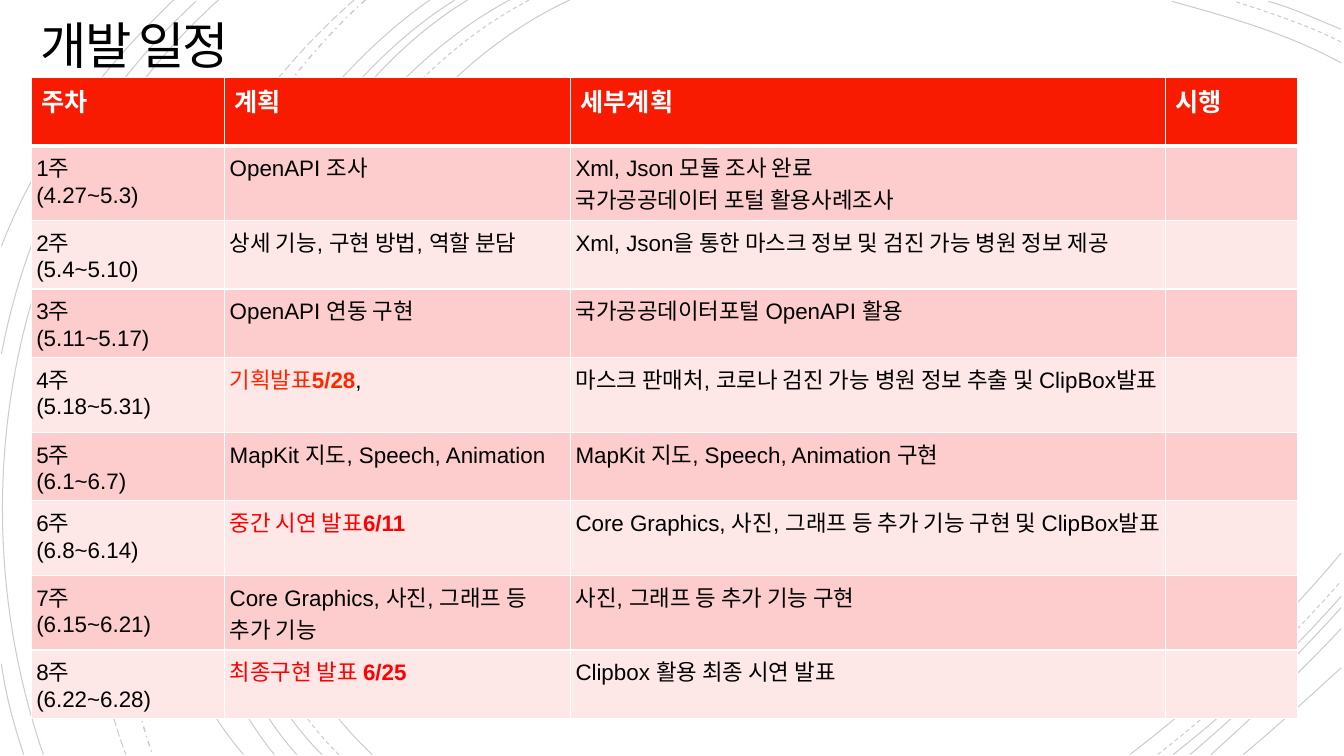
from lxml import etree
from pptx import Presentation
from pptx.dml.color import RGBColor
from pptx.enum import dml, text
from pptx.oxml import ns
from pptx.util import Pt

TITLE = "개발 일정"
HEADINGS = ["주차", "계획", "세부계획", "시행"]
# Week dates, plan, details; a plan is plain text or (wording, date, tail, colour)
WEEKS = [
    ("4.27~5.3", "OpenAPI 조사",
     ["Xml, Json 모듈 조사 완료", "국가공공데이터 포털 활용사례조사"]),
    ("5.4~5.10", "상세 기능, 구현 방법, 역할 분담",
     ["Xml, Json을 통한 마스크 정보 및 검진 가능 병원 정보 제공"]),
    ("5.11~5.17", "OpenAPI 연동 구현", ["국가공공데이터포털 OpenAPI 활용"]),
    ("5.18~5.31", ("기획발표", "5/28", ",", "orange"),
     ["마스크 판매처, 코로나 검진 가능 병원 정보 추출 및 ClipBox발표"]),
    ("6.1~6.7", "MapKit 지도, Speech, Animation",
     ["MapKit 지도, Speech, Animation 구현"]),
    ("6.8~6.14", ("중간 시연 발표", "6/11", "", "red"),
     ["Core Graphics, 사진, 그래프 등 추가 기능 구현 및 ClipBox발표"]),
    ("6.15~6.21", "Core Graphics, 사진, 그래프 등 추가 기능",
     ["사진, 그래프 등 추가 기능 구현"]),
    ("6.22~6.28", ("최종구현 발표 ", "6/25", "", "red"),
     ["Clipbox 활용 최종 시연 발표"]),
]
# Background arcs by dash style: start, two control points, end (points)
ARCS = {
    "SOLID": [
        ((407, 0), (227, 83), (103, 389), (266, 539)),
        ((958, 45), (920, 24), (877, 12), (837, 1)),
        ((807, 539), (862, 497), (914, 448), (958, 395)),
        ((364, 0), (194, 91), (79, 387), (230, 539)),
        ((958, 21), (941, 14), (924, 6), (906, 1)),
        ((838, 539), (881, 505), (922, 467), (958, 426)),
        ((334, 0), (176, 96), (79, 390), (212, 539)),
        ((850, 539), (888, 507), (924, 472), (958, 434)),
        ((325, 0), (166, 99), (70, 384), (196, 539)),
        ((865, 539), (897, 510), (929, 480), (958, 449)),
        ((307, 0), (156, 106), (38, 381), (174, 539)),
        ((888, 539), (912, 519), (935, 498), (958, 477)),
        ((156, 0), (8, 133), (-33, 353), (31, 539)),
        ((140, 1), (66, 69), (20, 154), (1, 253)),
        ((1, 474), (4, 496), (10, 518), (17, 539)),
        ((124, 0), (72, 50), (27, 108), (1, 176)),
    ],
    "DASH": [
        ((378, 0), (205, 90), (89, 387), (242, 539)),
        ((958, 30), (934, 18), (907, 9), (882, 1)),
        ((827, 539), (873, 503), (918, 461), (958, 415)),
    ],
    "DASH_DOT": [((261, 0), (127, 120), (47, 366), (109, 539))],
    "LONG_DASH": [((253, 0), (113, 122), (21, 359), (90, 539))],
}
COLORS = {"header": "F81B02", "odd": "FCCDCC", "even": "FEE8E7", "black": "000000",
          "white": "FFFFFF", "orange": "FF2600", "red": "FF0000"}
COLUMN_WIDTHS = [138.2, 247, 424.8, 94.4]
ROW_HEIGHT = 49
TABLE_LEFT, TABLE_TOP = 22.3, 55.1


def rgb(name):
    return RGBColor.from_string(COLORS[name])


def write(paragraph, wording, size=16, font="Arial", color="black", bold=False, spacing=0):
    run = paragraph.add_run()
    run.text = wording
    run.font.size, run.font.name, run.font.bold = Pt(size), font, bold
    run.font.color.rgb = rgb(color)
    if spacing:
        run.font._element.set("spc", str(int(spacing * 100)))


def write_lines(cell, lines, **style):
    frame = cell.text_frame
    for index, line in enumerate(lines):
        write(frame.add_paragraph() if index else frame.paragraphs[0], line, **style)


def draw_arc(arc, dash):
    start, *rest = [(Pt(x), Pt(y)) for x, y in arc]
    builder = slide.shapes.build_freeform(*start)
    builder.add_line_segments(rest, close=False)
    curve = builder.convert_to_shape()
    # Join the three segments into one cubic curve
    segments = list(curve._element.iter(ns.qn("a:lnTo")))
    outline = segments[0].getparent()
    bezier = etree.SubElement(outline, ns.qn("a:cubicBezTo"))
    for segment in segments:
        bezier.append(segment[0])
        outline.remove(segment)
    curve.shadow.inherit = False
    curve.fill.background()
    curve.line.color.rgb = rgb("black")
    curve.line.width = Pt(1 if dash == "DASH_DOT" else 0.75)
    curve.line.dash_style = getattr(dml.MSO_LINE, dash)
    ink = curve.line._ln.find(".//" + ns.qn("a:srgbClr"))
    etree.SubElement(ink, ns.qn("a:alpha")).set("val", "20000")


def format_cell(cell, fill, top=1, bottom=1):
    properties = cell._tc.get_or_add_tcPr()
    for side, width in (("L", 1), ("R", 1), ("T", top), ("B", bottom)):
        border = etree.SubElement(properties, ns.qn("a:ln" + side), w=str(Pt(width)))
        paint = etree.SubElement(border, ns.qn("a:solidFill"))
        etree.SubElement(paint, ns.qn("a:srgbClr")).set("val", COLORS["white"])
    cell.fill.solid()
    cell.fill.fore_color.rgb = rgb(fill)


deck = Presentation()
deck.slide_width, deck.slide_height = Pt(960), Pt(540)
slide = deck.slides.add_slide(deck.slide_layouts[5])

# Background arcs
for dash, arcs in ARCS.items():
    for arc in arcs:
        draw_arc(arc, dash)

# Title, in front of the arcs
title = slide.shapes.title
slide.shapes._spTree.append(title._element)
title.left, title.top, title.width, title.height = Pt(0), Pt(10), Pt(193), Pt(50.4)
heading = title.text_frame
heading.auto_size = text.MSO_AUTO_SIZE.NONE
heading.word_wrap = True
heading.vertical_anchor = text.MSO_ANCHOR.MIDDLE
heading.margin_left = heading.margin_right = Pt(18)
heading.margin_top = heading.margin_bottom = Pt(18)
heading.paragraphs[0].alignment = text.PP_ALIGN.CENTER
heading.paragraphs[0].line_spacing = 0.85
write(heading.paragraphs[0], TITLE, size=36, font="Calibri", spacing=-1.5)

# Schedule table
row_count = len(WEEKS) + 1
schedule = slide.shapes.add_table(
    row_count, len(HEADINGS), Pt(TABLE_LEFT), Pt(TABLE_TOP),
    Pt(sum(COLUMN_WIDTHS)), Pt(ROW_HEIGHT * row_count)).table
for column, width in zip(schedule.columns, COLUMN_WIDTHS):
    column.width = Pt(width)
for row in schedule.rows:
    row.height = Pt(ROW_HEIGHT)

# Header row
for column, label in enumerate(HEADINGS):
    cell = schedule.cell(0, column)
    format_cell(cell, "header", bottom=3)
    write_lines(cell, [label], size=18, font="TeX Gyre Bonum", color="white", bold=True)

# Week rows
for week, (dates, plan, details) in enumerate(WEEKS, start=1):
    cells = [schedule.cell(week, column) for column in range(len(HEADINGS))]
    for cell in cells:
        format_cell(cell, "odd" if week % 2 else "even", top=3 if week == 1 else 1)
    for cell in cells[:3]:
        cell.margin_left = cell.margin_right = Pt(3.6)
        cell.margin_top = cell.margin_bottom = Pt(3.6)
    write_lines(cells[0], [f"{week}주", f"({dates})"])
    write_lines(cells[2], details)
    if isinstance(plan, str):
        write_lines(cells[1], [plan])
    else:
        wording, date, tail, accent = plan
        milestone = cells[1].text_frame.paragraphs[0]
        write(milestone, wording, color=accent)
        write(milestone, date, color=accent, bold=True)
        if tail:
            write(milestone, tail)

deck.save("out.pptx")
